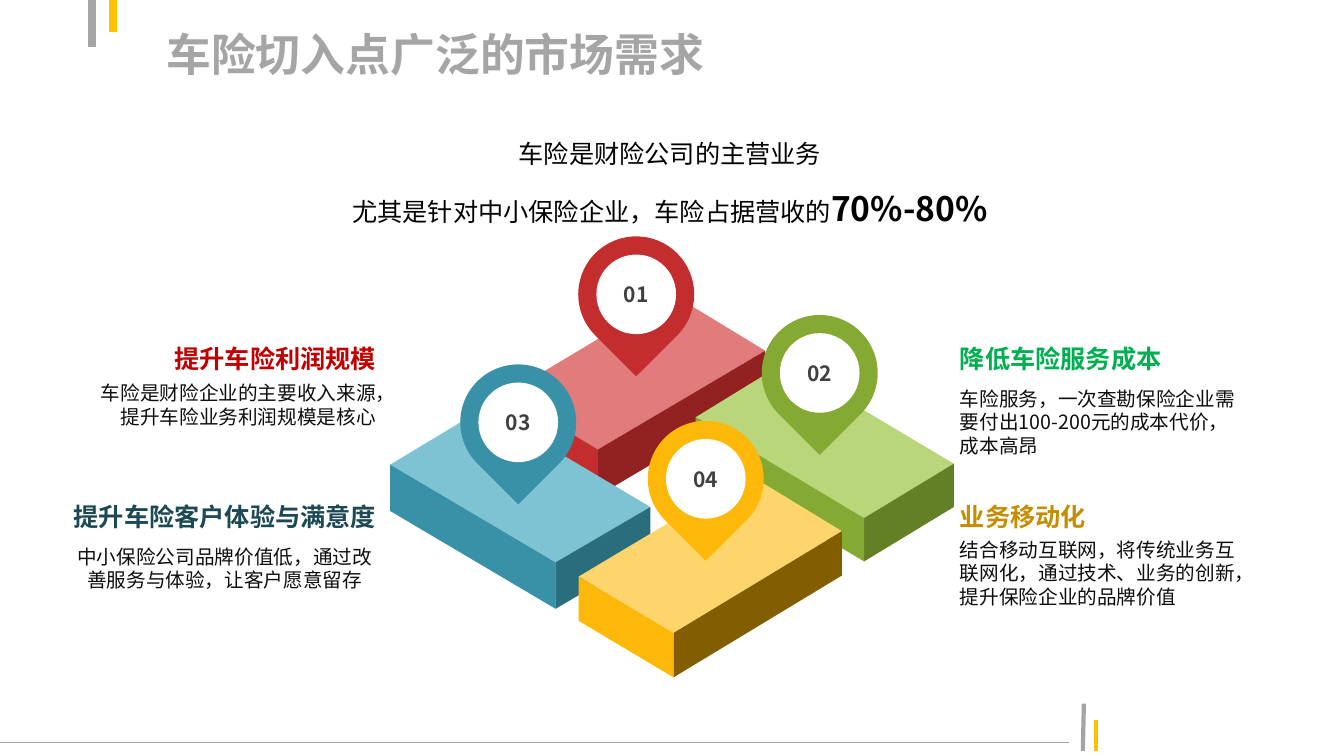
"""Draws the slide on market demand around car insurance."""
from dataclasses import dataclass

from lxml import etree
from pptx import Presentation, util as u
from pptx.dml.color import RGBColor
from pptx.enum import shapes, text
from pptx.oxml import ns


@dataclass(frozen=True)
class Theme:
    font: str = "Noto Sans CJK SC"
    gray: str = "A5A5A5"
    gold: str = "FFC000"
    white: str = "FFFFFF"
    black: str = "000000"
    body: str = "0D0D0D"
    label: str = "404040"
    reds: tuple = ("E17B7C", "C32D2E", "922222", "C00000")
    greens: tuple = ("B9D77A", "84AA33", "638026", "00B050")
    blues: tuple = ("7EC3D4", "3891A7", "2A6D7D", "1C4954")
    golds: tuple = ("FED46C", "FEB80A", "835E01", "C58D01")
    title: int = 32
    big: int = 24
    head: int = 18
    pin: int = 15
    small: int = 14


T = Theme()
LEFT, MID, RIGHT = text.PP_ALIGN.LEFT, text.PP_ALIGN.CENTER, text.PP_ALIGN.RIGHT


def inch(n):
    return u.Cm(n * 2.54)


def paint(shape, color):
    shape.shadow.inherit = False
    shape.fill.solid()
    shape.fill.fore_color.rgb = RGBColor.from_string(color)
    shape.line.fill.background()


def add_run(para, words, size, color, bold=False):
    run = para.add_run()
    run.text = words
    font = run.font
    font.size, font.bold, font.name = u.Pt(size), bold, T.font
    font.color.rgb = RGBColor.from_string(color)
    east = etree.SubElement(run._r.get_or_add_rPr(), ns.qn("a:ea"))
    east.set("typeface", T.font)


def set_frame(frame, pad=0.0, anchor=text.MSO_ANCHOR.MIDDLE):
    frame.word_wrap = True
    frame.vertical_anchor = anchor
    frame.margin_left = frame.margin_right = inch(pad)
    frame.margin_top = frame.margin_bottom = inch(pad / 2)


def add_text(slide, box, paras, align=LEFT, space=None, **frame):
    """Each paragraph is a list of runs: words, size, color, bold."""
    shape = slide.shapes.add_textbox(*map(inch, box))
    set_frame(shape.text_frame, **frame)
    for i, runs in enumerate(paras):
        para = shape.text_frame.add_paragraph() if i else shape.text_frame.paragraphs[0]
        para.alignment = align
        if space:
            para.line_spacing = space
        for run in runs:
            add_run(para, *run)


def add_line(slide, ends, color, width):
    line = slide.shapes.add_connector(shapes.MSO_CONNECTOR.STRAIGHT, *map(inch, ends))
    line.line.color.rgb = RGBColor.from_string(color)
    line.line.width = u.Pt(width)
    etree.SubElement(line._element.spPr, ns.qn("a:effectLst"))


def add_face(slide, points, color):
    first, *rest = [(inch(x), inch(y)) for x, y in points]
    form = slide.shapes.build_freeform(*first)
    form.add_line_segments(rest, close=True)
    paint(form.convert_to_shape(), color)


def add_slab(slide, left, back, right, front, depth, tones):
    """Draw a block from the corners of its top face."""
    def drop(point):
        return point[0], point[1] + depth

    light, main_tone, dark, _ = tones
    add_face(slide, (left, back, right, front), light)
    add_face(slide, (front, right, drop(right), drop(front)), dark)
    add_face(slide, (left, front, drop(front), drop(left)), main_tone)


def add_pin(slide, x, y, words, color):
    """Draw a numbered map pin whose head is centred at x, y."""
    kinds = shapes.MSO_SHAPE
    for kind, size, fill in ((kinds.TEAR, 1.15, color), (kinds.OVAL, 0.79, T.white)):
        box = (x - size / 2, y - size / 2, size, size)
        shape = slide.shapes.add_shape(kind, *map(inch, box))
        paint(shape, fill)
        if kind == kinds.TEAR:
            shape.rotation = 135
    set_frame(shape.text_frame)
    para = shape.text_frame.paragraphs[0]
    para.alignment = MID
    add_run(para, words, T.pin, T.label, True)


def add_note(slide, x, y, head, body, box, tones, aligns):
    """Draw a heading and its text; box is left, top, width, height."""
    add_text(slide, (x, y, 3.03, 0.3), [[(head, T.head, tones[3], True)]], aligns[0])
    add_text(slide, box, [[(body, T.small, T.body)]], aligns[1])


def main():
    deck = Presentation()
    deck.slide_width, deck.slide_height = inch(13.33), inch(7.5)
    slide = deck.slides.add_slide(deck.slide_layouts[6])

    for ends, color, width in (
        ((0, 7.37, 10.6, 7.37), T.gray, 0.75),
        ((10.74, 7.45, 10.75, 6.98), T.gray, 3),
        ((10.87, 7.45, 10.87, 7.14), T.gold, 3),
        ((0.91, 0.47, 0.91, 0), T.gray, 6),
        ((1.12, 0, 1.12, 0.32), T.gold, 6),
    ):
        add_line(slide, ends, color, width)

    add_text(slide, (1.55, 0.13, 10.79, 0.8),
             [[("车险切入点广泛的市场需求", T.title, T.gray, True)]], pad=0.1)

    for slab in (
        ((5.02, 3.91), (6.67, 2.92), (7.59, 3.48), (5.93, 4.46), 0.46, T.reds),
        ((6.9, 4.14), (7.78, 3.6), (9.46, 4.6), (8.57, 5.14), 0.43, T.greens),
        ((3.87, 4.61), (4.8, 4.05), (6.45, 5.03), (5.51, 5.58), 0.46, T.blues),
        ((5.74, 5.72), (7.43, 4.71), (8.35, 5.27), (6.68, 6.28), 0.44, T.golds),
    ):
        add_slab(slide, *slab)

    for x, y, words, tones in (
        (5.14, 4.19, "03", T.blues),
        (7.0, 4.75, "04", T.golds),
        (6.31, 2.92, "01", T.reds),
        (8.13, 3.7, "02", T.greens),
    ):
        add_pin(slide, x, y, words, tones[1])

    for note in (
        (9.52, 4.97, "业务移动化",
         "结合移动互联网，将传统业务互联网化，通过技术、业务的创新，提升保险企业的品牌价值",
         (9.52, 5.33, 2.84, 0.71), T.golds, (LEFT, LEFT)),
        (9.52, 3.41, "降低车险服务成本",
         "车险服务，一次查勘保险企业需要付出100-200元的成本代价，成本高昂",
         (9.52, 3.83, 2.84, 0.71), T.greens, (LEFT, LEFT)),
        (0.7, 4.97, "提升车险客户体验与满意度",
         "中小保险公司品牌价值低，通过改善服务与体验，让客户愿意留存",
         (0.73, 5.4, 3, 0.47), T.blues, (RIGHT, MID)),
        (0.7, 3.41, "提升车险利润规模",
         "车险是财险企业的主要收入来源，提升车险业务利润规模是核心",
         (0.89, 3.78, 2.84, 0.47), T.reds, (RIGHT, RIGHT)),
    ):
        add_note(slide, *note)

    add_text(slide, (3.31, 1.17, 6.67, 1.16), [
        [("车险是财险公司的主营业务", T.head, T.black)],
        [("尤其是针对中小保险企业，车险占据营收的", T.head, T.black),
         ("70%-80%", T.big, T.black, True)],
    ], MID, 1.5, pad=0.1, anchor=text.MSO_ANCHOR.TOP)

    deck.save("out.pptx")


if __name__ == "__main__":
    main()
